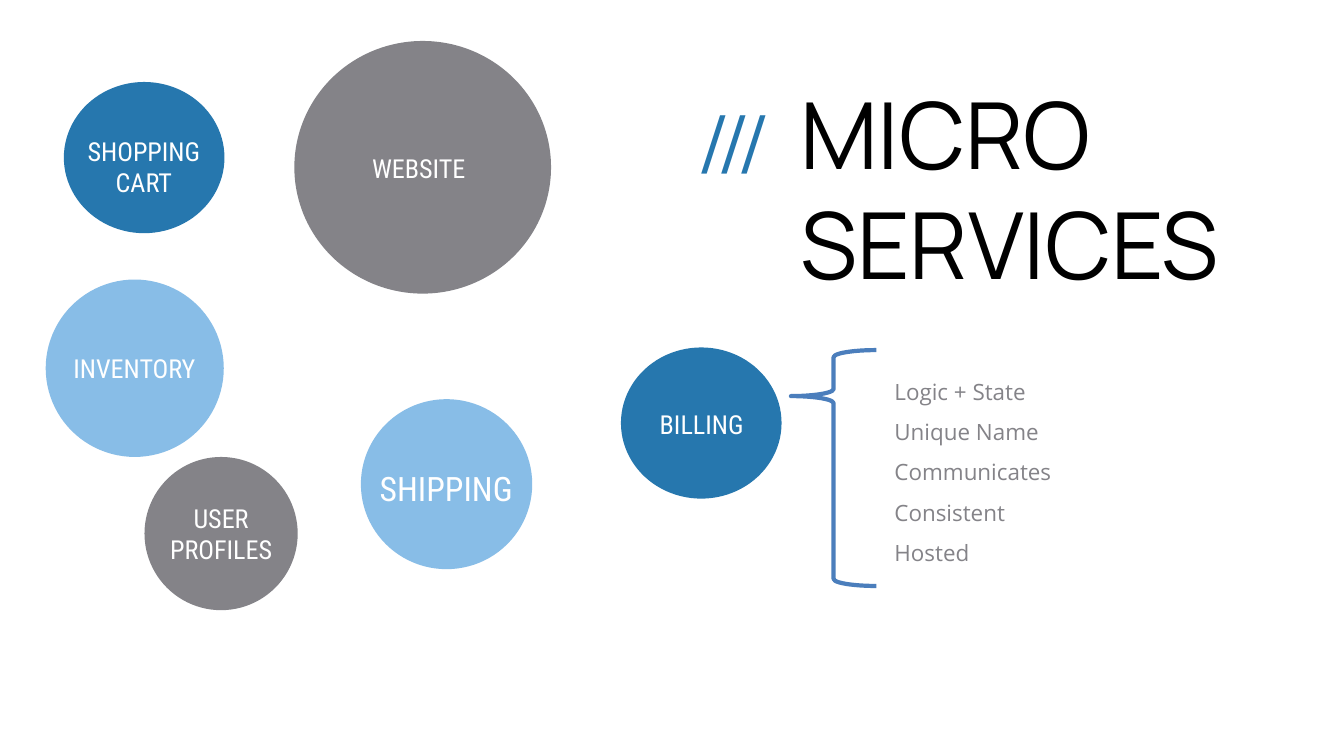
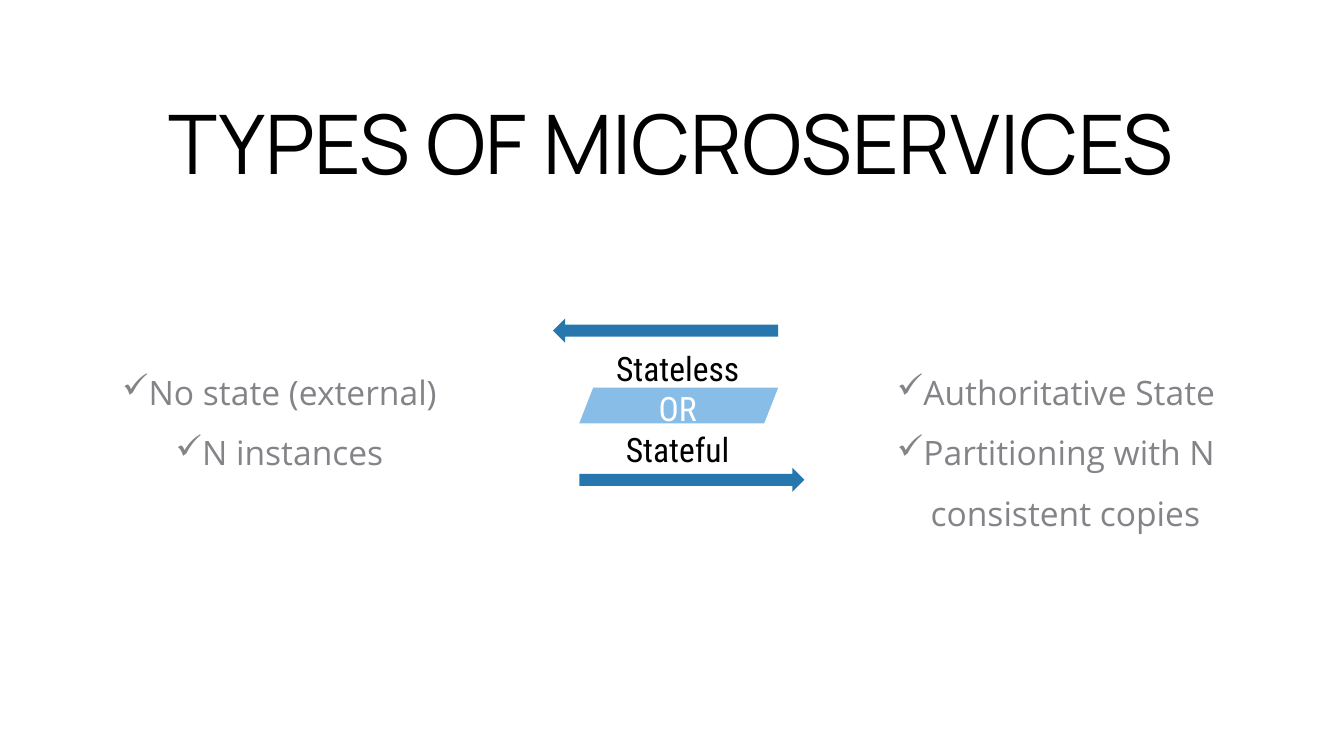
from dataclasses import dataclass
from typing import NamedTuple, Optional

from lxml.etree import SubElement
from pptx import Presentation
from pptx.dml.color import RGBColor
from pptx.enum.shapes import MSO_SHAPE as Preset
from pptx.enum.text import MSO_ANCHOR as Anchor, MSO_AUTO_SIZE as AutoSize, PP_ALIGN as Align
from pptx.oxml.ns import qn
from pptx.shapes.autoshape import Shape
from pptx.slide import Slide
from pptx.text.text import TextFrame
from pptx.util import Inches, Pt

BLACK = RGBColor(0x00, 0x00, 0x00)
WHITE = RGBColor(0xFF, 0xFF, 0xFF)
GREY = RGBColor(0x84, 0x83, 0x88)
BLUE = RGBColor(0x26, 0x77, 0xAE)
LIGHT_BLUE = RGBColor(0x88, 0xBD, 0xE7)
BRACE_BLUE = RGBColor(0x4B, 0x7E, 0xBC)

TITLE_FONT = "Manrope"
BODY_FONT = "Open Sans"
LABEL_FONT = "Roboto Condensed"
CHECK_INDENT = Inches(0.28)
TITLE_ONLY = 5


class Box(NamedTuple):
    left: float
    top: float
    width: float
    height: float

    def lengths(self) -> list[Inches]:
        """Return the four measures as lengths."""
        return [Inches(measure) for measure in self]


@dataclass(frozen=True)
class Style:
    font: str
    size: float
    color: RGBColor
    align: Align = Align.LEFT
    spacing: Optional[float] = None
    check: bool = False


@dataclass(frozen=True)
class Service:
    name: str
    disc: Box
    label: Box
    fill: RGBColor
    size: float = 28


@dataclass(frozen=True)
class Checklist:
    box: Box
    points: tuple[str, ...]


SERVICES = (
    Service("SHIPPING", Box(5.37, 5.94, 2.55, 2.53), Box(5.19, 6.88, 2.9, 0.76), LIGHT_BLUE, 36),
    Service("SHOPPING\nCART", Box(0.95, 1.22, 2.39, 2.25), Box(0.55, 1.93, 3.18, 1.09), BLUE),
    Service("INVENTORY", Box(0.68, 4.16, 2.65, 2.64), Box(0.41, 5.17, 3.18, 0.62), LIGHT_BLUE),
    Service("USER\nPROFILES", Box(2.15, 6.8, 2.28, 2.28), Box(1.7, 7.39, 3.18, 1.09), GREY),
    Service("WEBSITE", Box(4.38, 0.61, 3.82, 3.76), Box(4.64, 2.18, 3.18, 0.62), GREY),
    Service("BILLING", Box(9.24, 5.17, 2.39, 2.25), Box(8.85, 5.99, 3.18, 0.62), BLUE),
)
TRAITS = "Logic + State\nUnique Name\nCommunicates\nConsistent\nHosted"
CHECKLISTS = (
    Checklist(Box(1.42, 5.15, 5.48, 1.87), ("No state (external)", "N instances")),
    Checklist(Box(13.01, 5.15, 5.41, 2.88),
              ("Authoritative State", "Partitioning with N consistent copies")),
)
CHOICE = (("Stateless", BLACK), ("OR", WHITE), ("Stateful", BLACK))
ARROWS = ((Box(8.23, 4.74, 3.35, 0.36), 0), (Box(8.62, 6.96, 3.35, 0.36), 180))


def prepare_frame(frame: TextFrame) -> None:
    """Give a text frame the shared margins, wrapping and anchor."""
    frame.word_wrap = True
    frame.auto_size = AutoSize.SHAPE_TO_FIT_TEXT
    frame.vertical_anchor = Anchor.TOP
    frame.margin_left = frame.margin_right = Inches(0.15)
    frame.margin_top = frame.margin_bottom = Inches(0.08)


def write(frame: TextFrame, lines: tuple[tuple[str, RGBColor], ...], style: Style) -> None:
    """Write one paragraph per line, with line breaks at newlines."""
    prepare_frame(frame)
    for index, (text, color) in enumerate(lines):
        paragraph = frame.add_paragraph() if index else frame.paragraphs[0]
        if style.check:
            properties = paragraph._p.get_or_add_pPr()
            properties.set("marL", str(CHECK_INDENT))
            properties.set("indent", str(-CHECK_INDENT))
            SubElement(properties, qn("a:buChar")).set("char", "✓")
        paragraph.alignment = style.align
        if style.spacing:
            paragraph.line_spacing = style.spacing
        for part, words in enumerate(text.split("\n")):
            if part:
                paragraph.add_line_break()
            run = paragraph.add_run()
            run.text = words
            run.font.name = style.font
            run.font.size = Pt(style.size)
            run.font.color.rgb = color


def add_text(slide: Slide, box: Box, text: str, style: Style) -> None:
    """Add a text box holding one paragraph."""
    write(slide.shapes.add_textbox(*box.lengths()).text_frame, ((text, style.color),), style)


def add_title(slide: Slide, box: Box, text: str, size: float, align: Align) -> None:
    """Place and format the title placeholder."""
    title = slide.shapes.title
    title.left, title.top, title.width, title.height = box.lengths()
    write(title.text_frame, ((text, BLACK),), Style(TITLE_FONT, size, BLACK, align))


def add_solid(slide: Slide, preset: Preset, box: Box, fill: RGBColor) -> Shape:
    """Add a filled preset shape without outline or shadow."""
    solid = slide.shapes.add_shape(preset, *box.lengths())
    solid.shadow.inherit = False
    solid.fill.solid()
    solid.fill.fore_color.rgb = fill
    solid.line.fill.background()
    return solid


def add_service(slide: Slide, service: Service) -> None:
    """Add a service disc and its label."""
    add_solid(slide, Preset.OVAL, service.disc, service.fill)
    add_text(slide, service.label, service.name,
             Style(LABEL_FONT, service.size, WHITE, Align.CENTER))


def add_brace(slide: Slide, box: Box) -> None:
    """Add the brace that opens the list of traits."""
    brace = slide.shapes.add_shape(Preset.LEFT_BRACE, *box.lengths())
    brace.shadow.inherit = False
    brace.adjustments[0] = 0.083
    brace.adjustments[1] = 0.195
    brace.fill.background()
    brace.line.color.rgb = BRACE_BLUE
    brace.line.width = Pt(4.5)


def build_services(slide: Slide) -> None:
    """Build the overview of services."""
    add_title(slide, Box(11.76, 1.06, 6.8, 3.48), "MICRO\nSERVICES", 99, Align.LEFT)
    add_text(slide, Box(10.28, 1.31, 1.94, 1.52), "///", Style(LABEL_FONT, 81, BLUE))
    for service in SERVICES:
        add_service(slide, service)
    add_text(slide, Box(13.16, 5.34, 5.09, 3.12), TRAITS,
             Style(BODY_FONT, 24, GREY, spacing=1.5))
    add_brace(slide, Box(11.77, 5.21, 1.27, 3.51))


def build_types(slide: Slide) -> None:
    """Build the comparison of stateless and stateful services."""
    add_title(slide, Box(1.69, 1.29, 16.59, 1.63), "TYPES OF MICROSERVICES", 88, Align.CENTER)
    banner = add_solid(slide, Preset.PARALLELOGRAM, Box(8.62, 5.77, 2.96, 0.53), LIGHT_BLUE)
    banner.adjustments[0] = 0.391
    choice = slide.shapes.add_textbox(*Box(7.47, 5.1, 5.23, 1.97).lengths())
    write(choice.text_frame, CHOICE, Style(LABEL_FONT, 36, BLACK, Align.CENTER))
    check_style = Style(BODY_FONT, 36, GREY, Align.CENTER, 1.5, check=True)
    for checklist in CHECKLISTS:
        points = slide.shapes.add_textbox(*checklist.box.lengths())
        write(points.text_frame, tuple((point, GREY) for point in checklist.points), check_style)
    for box, rotation in ARROWS:
        add_solid(slide, Preset.LEFT_ARROW, box, BLUE).rotation = rotation


def main() -> None:
    """Build and save the presentation."""
    deck = Presentation()
    deck.slide_width, deck.slide_height = Inches(20), Inches(11.25)
    for build in (build_services, build_types):
        build(deck.slides.add_slide(deck.slide_layouts[TITLE_ONLY]))
    deck.save("out.pptx")


if __name__ == "__main__":
    main()
